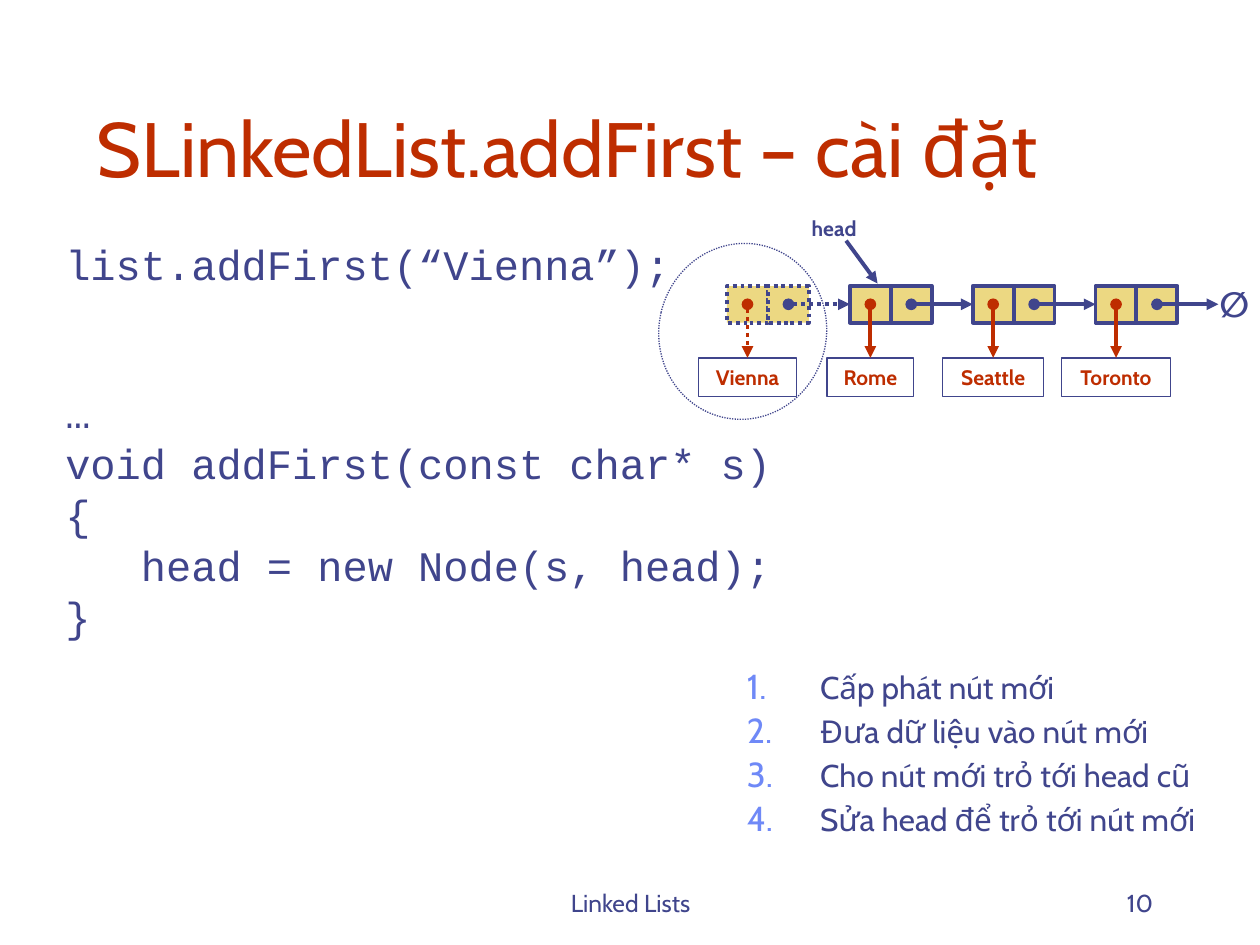
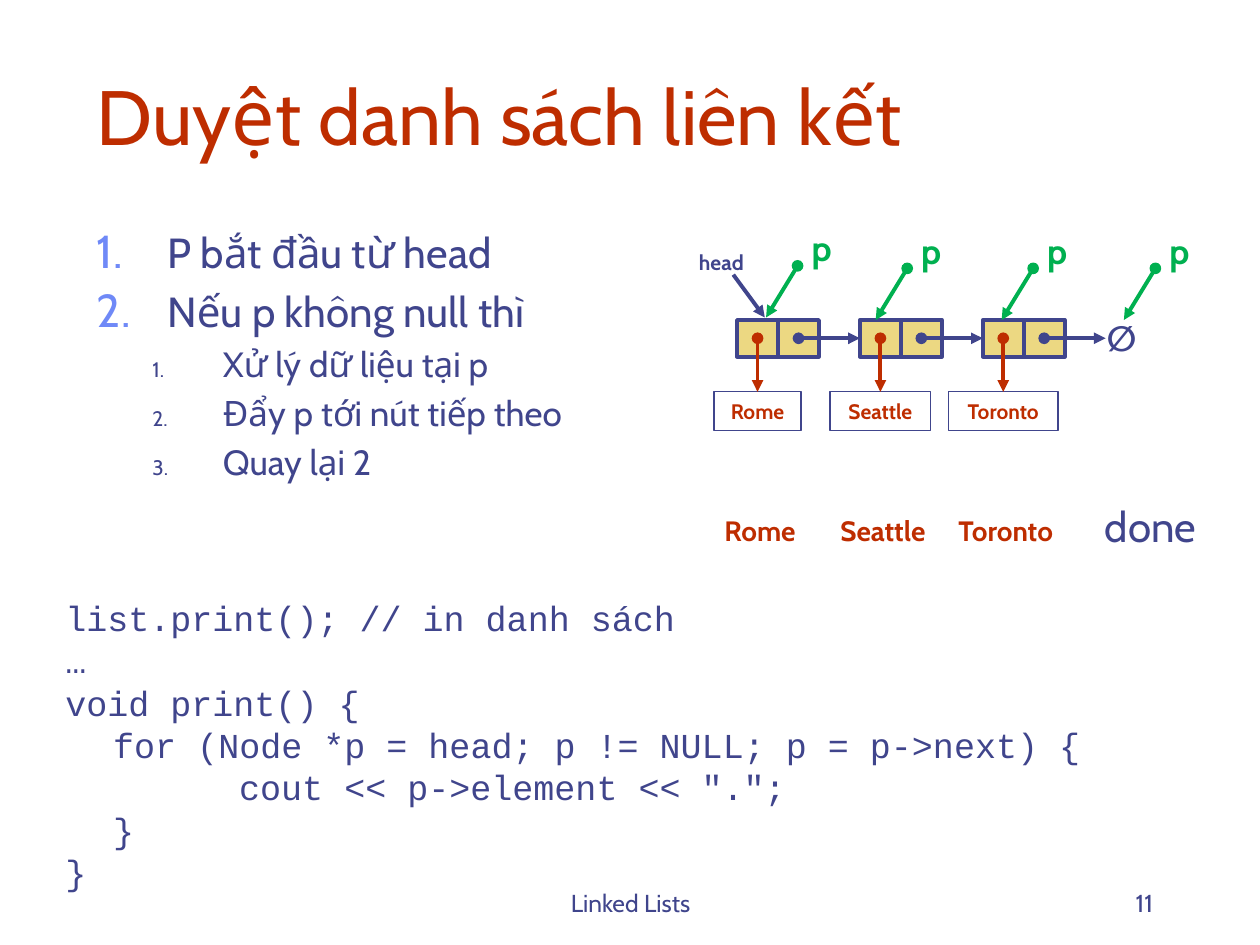
from dataclasses import dataclass

from lxml import etree
from pptx import Presentation
from pptx.dml.color import RGBColor
from pptx.enum.dml import MSO_LINE
from pptx.enum.shapes import MSO_CONNECTOR, MSO_SHAPE
from pptx.enum.text import MSO_ANCHOR, PP_ALIGN
from pptx.oxml.ns import qn
from pptx.util import Inches, Pt

DOTTED = MSO_LINE.ROUND_DOT
STRAIGHT = MSO_CONNECTOR.STRAIGHT
RECTANGLE, ELLIPSE = MSO_SHAPE.RECTANGLE, MSO_SHAPE.OVAL
TOP, BOTTOM = MSO_ANCHOR.TOP, MSO_ANCHOR.BOTTOM
LEFT, CENTER, RIGHT = PP_ALIGN.LEFT, PP_ALIGN.CENTER, PP_ALIGN.RIGHT
TOP_SIDE, LEFT_SIDE = 0, 1


@dataclass(frozen=True)
class Theme:
    ink: str = "40458C"
    accent: str = "BE2D00"
    node: str = "ECD882"
    bullet: str = "6F89F7"
    pointer: str = "00B050"
    font: str = "Cabin"
    code_font: str = "Courier New"
    title: int = 44
    footer: int = 14
    symbol: int = 20
    label: int = 12
    output: int = 16
    thick: float = 2.25
    thin: float = 0.75


THEME = Theme()
WIDTH, HEIGHT = 10, 7.5
FOOTER = "Linked Lists"

# Content: code lines are (indent in inches, text, skipped lines before)
ADD_FIRST = {
    "number": 10,
    "title": ("SLinkedList.addFirst – cài đặt", (0.67, 0.33, 8.5, 1.25)),
    "steps": [(0, "Cấp phát nút mới"), (0, "Đưa dữ liệu vào nút mới"),
              (0, "Cho nút mới trỏ tới head cũ"),
              (0, "Sửa head để trỏ tới nút mới")],
    "steps_box": (5.83, 5.25, 4.42, 1.75),
    # Per level: size, left margin, bullet colour, bullet percent
    "step_levels": [(18, 0.58, THEME.bullet, 110)],
    "code": [(0, "list.addFirst(“Vienna”);", 0), (0, "…", 2),
             (0, "void addFirst(const char* s)", 0), (0, "{", 0),
             (0.6, "head = new Node(s, head);", 0), (0, "}", 0)],
    "code_box": (0.42, 1.92, 10.5, 0.58),
    "code_size": 24,
    "nodes": [("Vienna", 0.78), ("Rome", 0.69), ("Seattle", 0.8), ("Toronto", 0.87)],
    "origin": (5.77, 2.27),
    "new_nodes": 1,
}
TRAVERSAL = {
    "number": 11,
    "title": ("Duyệt danh sách liên kết", (0.67, 0.33, 8.75, 1)),
    "steps": [(0, "P bắt đầu từ head"), (0, "Nếu p không null thì"),
              (1, "Xử lý dữ liệu tại p"), (1, "Đẩy p tới nút tiếp theo"),
              (1, "Quay lại 2")],
    "steps_box": (0.67, 1.75, 4.29, 2.33),
    "step_levels": [(24, 0.56, THEME.bullet, 110), (20, 1, THEME.ink, 60)],
    "code": [(0, "list.print(); // in danh sách", 0), (0, "…", 0),
             (0, "void print() {", 0),
             (0.38, "for (Node *p = head; p != NULL; p = p->next) {", 0),
             (1.38, 'cout << p->element << ".";', 0), (0.38, "}", 0), (0, "}", 0)],
    "code_box": (0.42, 4.75, 10.5, 2.33),
    "code_size": 20,
    "nodes": [("Rome", 0.69), ("Seattle", 0.8), ("Toronto", 0.87)],
    "origin": (5.85, 2.54),
    "new_nodes": 0,
}
POINTER_STARTS = [(6.33, 2.11), (7.2, 2.13), (8.2, 2.13), (9.17, 2.13)]

# Node grid: a node is two cells, followed by a gap of one cell
CELL, CELL_HEIGHT = 0.325, 0.29
NODE_PITCH = 3 * CELL
LABEL_DROP, LABEL_HEIGHT = 0.57, 0.31


def color(value):
    return RGBColor.from_string(value)


def set_all(target, values):
    for name, value in values.items():
        setattr(target, name, value)


def inches(*lengths):
    return [Inches(length) for length in lengths]


def style_line(line, line_color, width, dotted=False):
    line.color.rgb = color(line_color)
    line.width = Pt(width)
    if dotted:
        line.dash_style = DOTTED


def write(paragraph, text, size, text_color=THEME.ink, font=THEME.font,
          bold=False, align=LEFT):
    paragraph.alignment = align
    run = paragraph.add_run()
    run.text = text
    set_all(run.font, {"size": Pt(size), "name": font, "bold": bold})
    run.font.color.rgb = color(text_color)


def add_text(slide, box, text, size, anchor=TOP, wrap=True, **formats):
    frame = slide.shapes.add_textbox(*inches(*box)).text_frame
    set_all(frame, {"word_wrap": wrap, "vertical_anchor": anchor})
    write(frame.paragraphs[0], text, size, **formats)


def add_outline(slide, kind, box, width, fill=None, dotted=False):
    shape = slide.shapes.add_shape(kind, *inches(*box))
    shape.shadow.inherit = False
    if fill:
        shape.fill.solid()
        shape.fill.fore_color.rgb = color(fill)
    else:
        shape.fill.background()
    style_line(shape.line, THEME.ink, width, dotted)
    return shape


def add_arrow(slide, start, end, line_color=THEME.ink, dotted=False,
              dot=True, target=None, side=TOP_SIDE):
    arrow = slide.shapes.add_connector(STRAIGHT, *inches(*start, *end))
    style_line(arrow.line, line_color, THEME.thick, dotted)
    properties = arrow._element.spPr
    line = properties.find(qn("a:ln"))
    if dot:
        etree.SubElement(line, qn("a:headEnd"), type="oval")
    etree.SubElement(line, qn("a:tailEnd"), type="triangle")
    etree.SubElement(properties, qn("a:effectLst"))
    if target is not None:
        arrow.end_connect(target, side)


def new_paragraph(frame, index):
    return frame.add_paragraph() if index else frame.paragraphs[0]


def add_frame(slide, box):
    frame = slide.shapes.add_textbox(*inches(*box)).text_frame
    frame.word_wrap = True
    return frame


def add_steps(slide, content):
    frame = add_frame(slide, content["steps_box"])
    hanging = content["step_levels"][0][1]
    for index, (level, text) in enumerate(content["steps"]):
        size, margin, bullet_color, percent = content["step_levels"][level]
        paragraph = new_paragraph(frame, index)
        set_all(paragraph, {"level": level, "space_before": Pt(0.2 * size)})
        write(paragraph, text, size)
        properties = paragraph._p.get_or_add_pPr()
        properties.set("marL", str(Inches(margin)))
        properties.set("indent", str(-Inches(hanging)))
        bullet = etree.SubElement(properties, qn("a:buClr"))
        etree.SubElement(bullet, qn("a:srgbClr"), val=bullet_color)
        etree.SubElement(properties, qn("a:buSzPct"), val=str(percent * 1000))
        etree.SubElement(properties, qn("a:buAutoNum"), type="arabicPeriod")


def add_code(slide, content):
    frame = add_frame(slide, content["code_box"])
    size = content["code_size"]
    for index, (indent, text, skipped) in enumerate(content["code"]):
        paragraph = new_paragraph(frame, index)
        gap = 0.25 * size + skipped * 1.16 * size
        set_all(paragraph, {"line_spacing": 0.8, "space_before": Pt(gap)})
        write(paragraph, text, size, font=THEME.code_font)
        paragraph._p.get_or_add_pPr().set("marL", str(Inches(indent)))


def data_center(content, index):
    return content["origin"][0] + index * NODE_PITCH + CELL / 2


def add_linked_list(slide, content):
    left, top = content["origin"]
    middle = top + CELL_HEIGHT / 2
    lefts = [left + index * NODE_PITCH for index in range(len(content["nodes"]))]

    # Cells and labels
    data_cells, labels = [], []
    for index, (name, width) in enumerate(content["nodes"]):
        dotted = index < content["new_nodes"]
        cells = [add_outline(slide, RECTANGLE,
                             (lefts[index] + column * CELL, top, CELL, CELL_HEIGHT),
                             THEME.thick, THEME.node, dotted) for column in range(2)]
        data_cells.append(cells[0])
        label_left = data_center(content, index) - width / 2
        label = add_outline(slide, RECTANGLE,
                            (label_left, top + LABEL_DROP, width, LABEL_HEIGHT),
                            THEME.thin)
        set_all(label.text_frame, {"word_wrap": False, "vertical_anchor": TOP})
        write(label.text_frame.paragraphs[0], name, THEME.label,
              THEME.accent, bold=True, align=CENTER)
        labels.append(label)

    # Links to the next node and to the data
    for index, node_left in enumerate(lefts):
        dotted = index < content["new_nodes"]
        following = data_cells[index + 1] if index + 1 < len(lefts) else None
        add_arrow(slide, (node_left + 1.5 * CELL, middle),
                  (node_left + NODE_PITCH, middle),
                  dotted=dotted, target=following, side=LEFT_SIDE)
        center = data_center(content, index)
        add_arrow(slide, (center, middle), (center, top + LABEL_DROP),
                  THEME.accent, dotted, target=labels[index])

    # Null mark and head pointer
    bold_center = {"bold": True, "align": CENTER, "wrap": False}
    null_left = left + len(lefts) * NODE_PITCH - 0.09
    add_text(slide, (null_left, top - 0.08, 0.43, 0.43), "∅",
             THEME.symbol, **bold_center)
    head = lefts[content["new_nodes"]]
    add_arrow(slide, (head - 0.03, top - 0.36), (head + 0.22, top - 0.02), dot=False)
    add_text(slide, (head - 0.43, top - 0.61, 0.61, 0.3), "head",
             THEME.label, **bold_center)


def add_pointers(slide):
    for left, top in POINTER_STARTS:
        add_text(slide, (left, top - 0.36, 0.38, 0.44), "p", THEME.symbol,
                 text_color=THEME.pointer, bold=True, align=CENTER, wrap=False)
        add_arrow(slide, (left, top), (left - 0.25, top + 0.41), THEME.pointer)


def add_output(slide, content):
    for index, (name, _) in enumerate(content["nodes"]):
        left = data_center(content, index) - 0.48
        add_text(slide, (left, 4.03, 1, 0.37), name, THEME.output,
                 text_color=THEME.accent, bold=True, align=CENTER, wrap=False)
    add_text(slide, (8.67, 3.92, 1, 0.51), "done", 24)


def add_slide(presentation, content):
    slide = presentation.slides.add_slide(presentation.slide_layouts[6])
    title, title_box = content["title"]
    add_text(slide, title_box, title, THEME.title, BOTTOM, text_color=THEME.accent)
    add_text(slide, (3.42, 6.83, 3.17, 0.5), FOOTER, THEME.footer, BOTTOM, align=CENTER)
    add_text(slide, (7.17, 6.83, 2.08, 0.5), str(content["number"]),
             THEME.footer, BOTTOM, align=RIGHT)
    add_steps(slide, content)
    add_linked_list(slide, content)
    add_code(slide, content)
    return slide


def main():
    presentation = Presentation()
    set_all(presentation, {"slide_width": Inches(WIDTH), "slide_height": Inches(HEIGHT)})

    # Insertion, with a ring around the new node
    slide = add_slide(presentation, ADD_FIRST)
    ring = add_outline(slide, ELLIPSE, (5.23, 1.93, 1.33, 1.4), THEME.thin, dotted=True)
    ring.rotation = 13

    # Traversal, with the moving pointer and the printed output
    slide = add_slide(presentation, TRAVERSAL)
    add_pointers(slide)
    add_output(slide, TRAVERSAL)
    presentation.save("out.pptx")


if __name__ == "__main__":
    main()
